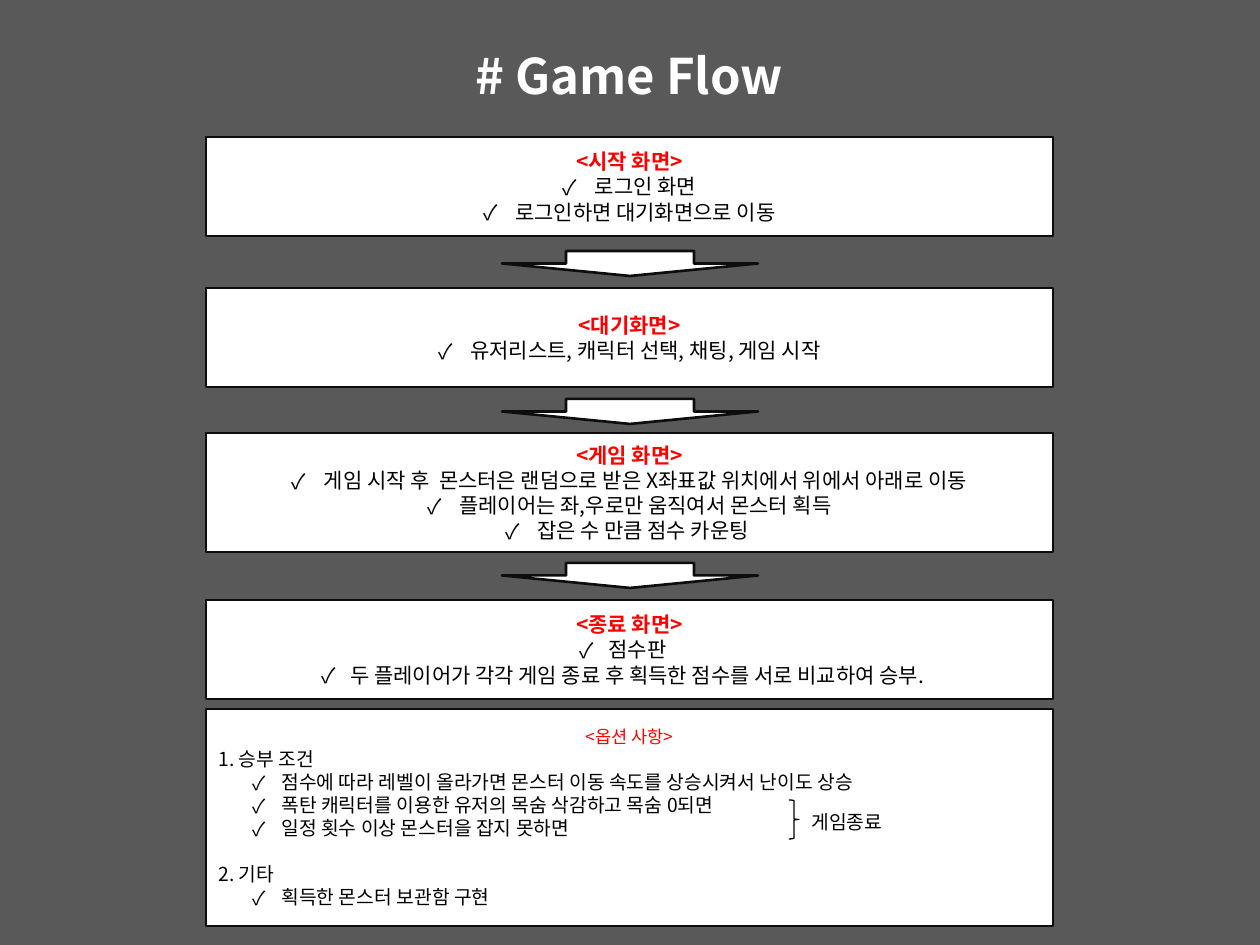
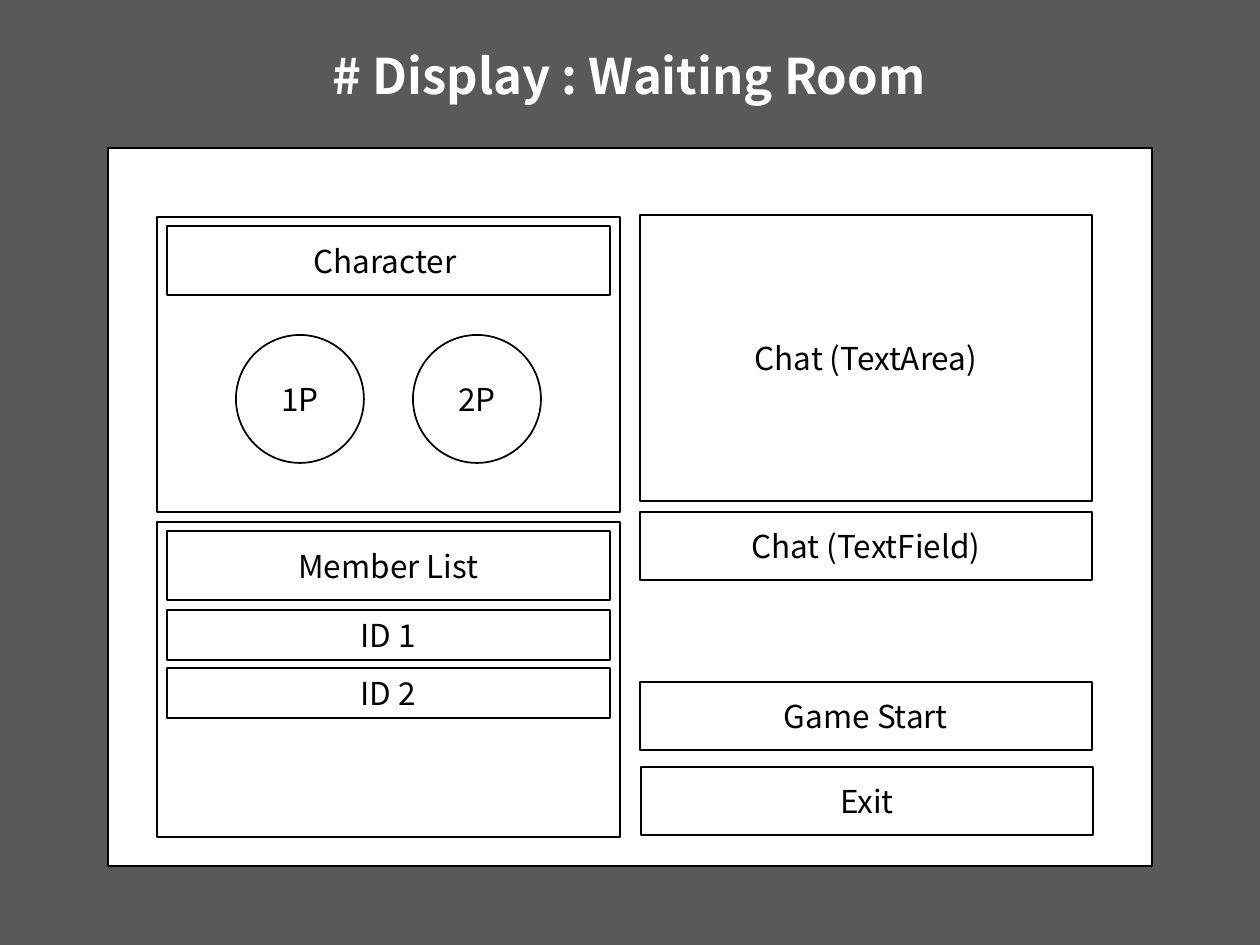
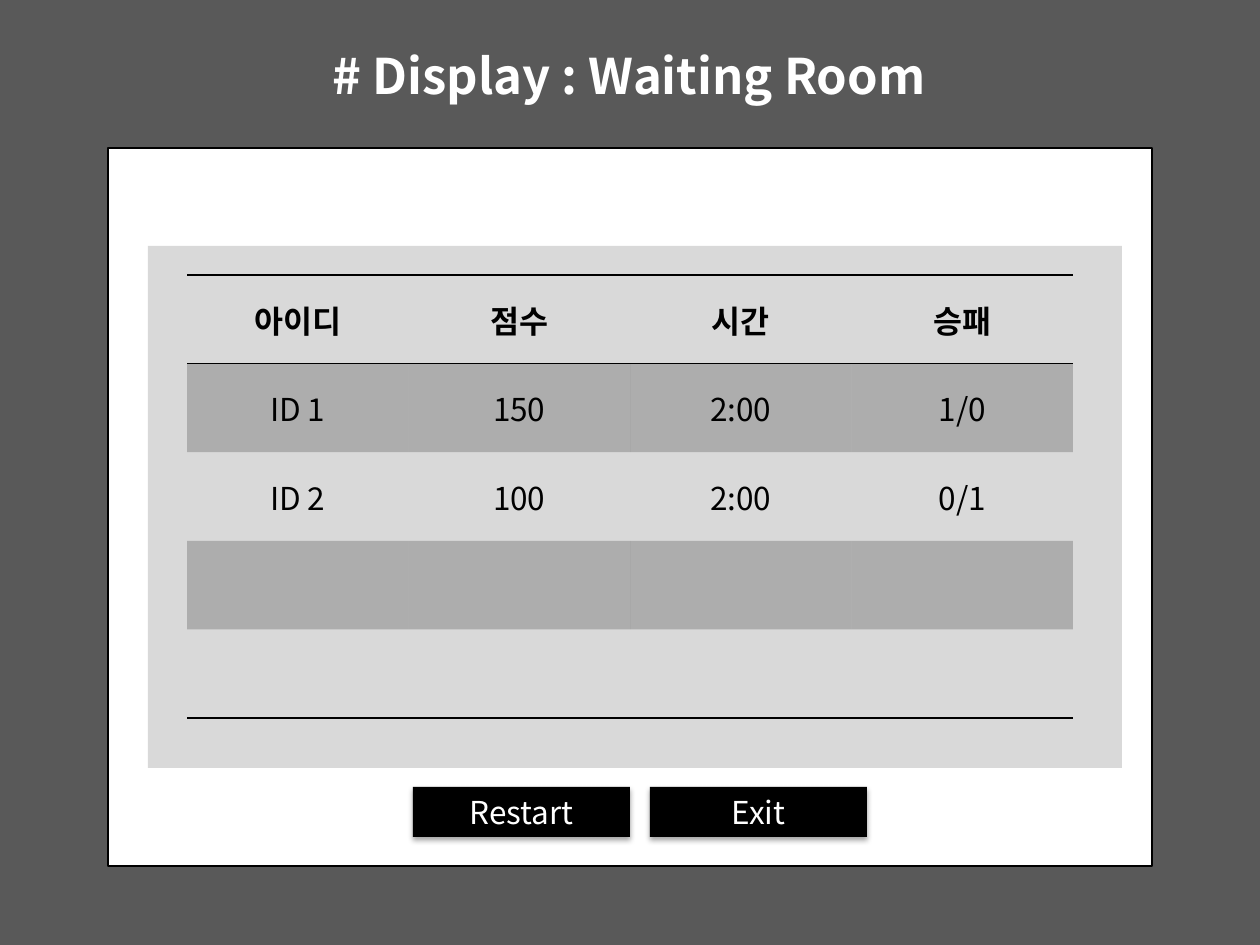
"""Build three slides on a catching game: its flow, its waiting room and its score board."""
from lxml.etree import SubElement
from pptx import Presentation
from pptx.dml.color import RGBColor
from pptx.enum.shapes import MSO_SHAPE as SHAPE
from pptx.enum.text import MSO_ANCHOR as ANCHOR, MSO_AUTO_SIZE as FIT, PP_ALIGN as ALIGN
from pptx.oxml import parse_xml
from pptx.oxml.ns import nsdecls, qn
from pptx.util import Emu, Pt

BLACK = RGBColor(0x00, 0x00, 0x00)
INK = RGBColor(0x0D, 0x0D, 0x0D)
WHITE = RGBColor(0xFF, 0xFF, 0xFF)
RED = RGBColor(0xFF, 0x00, 0x00)
GRAY = RGBColor(0x59, 0x59, 0x59)
SILVER = RGBColor(0xD9, 0xD9, 0xD9)
FONT = "Noto Sans CJK KR"
PLAIN_TABLE = "{2D5ABB26-0587-4C30-8999-92F81FD0307C}"
TITLE_ONLY = 5
CENTER_BULLET = (32, -32)
END_BULLET = (16, -29)
OPTION_BULLET = (63, -29)


def px(n):
    """Turn pixels, 126 to the inch, into EMU."""
    return Emu(round(n * 914400 / 126))


class Deck:
    """Hold the shared style and the current slide."""

    def __init__(self):
        """Start a deck with a grey master."""
        self.prs = Presentation()
        self.prs.slide_width, self.prs.slide_height = px(1260), px(945)
        fill = self.prs.slide_master.background.fill
        fill.solid()
        fill.fore_color.rgb = GRAY

    def slide(self, title):
        """Add a slide with the centred white title."""
        self.s = self.prs.slides.add_slide(self.prs.slide_layouts[TITLE_ONLY])
        sp = self.s.shapes.title
        sp.left, sp.top, sp.width, sp.height = map(px, (260, 39, 738, 72))
        self.frame(sp.text_frame)
        self.para(sp.text_frame, title, 28, WHITE, bold=True)

    def frame(self, tf, wrap=True):
        """Give a text frame the common settings."""
        tf.word_wrap, tf.auto_size = wrap, FIT.NONE
        tf.vertical_anchor = ANCHOR.MIDDLE

    def para(self, tf, text, size=18, color=BLACK, bold=False, align=ALIGN.CENTER,
             bullet=None, before=0):
        """Fill the first paragraph or add one after it."""
        p = tf.paragraphs[0]
        if p.runs:
            p = tf.add_paragraph()
        p.alignment = align
        p.space_before = Pt(before)
        if bullet:
            pPr = p._p.get_or_add_pPr()
            for key, n in zip(("marL", "indent"), bullet):
                pPr.set(key, str(px(n)))
            SubElement(pPr, qn("a:buFont"), typeface=FONT)
            SubElement(pPr, qn("a:buChar"), char="✓")
        r = p.add_run()
        r.text = text
        r.font.name, r.font.size, r.font.bold = FONT, Pt(size), bold
        r.font.color.rgb = color
        SubElement(r._r.get_or_add_rPr(), qn("a:ea"), typeface=FONT)

    def shape(self, kind, x, y, w, h, fill=None, line=None, width=1.25):
        """Add a preset shape without a shadow."""
        sp = self.s.shapes.add_shape(kind, *map(px, (x, y, w, h)))
        sp.shadow.inherit = False
        if fill is None:
            sp.fill.background()
        else:
            sp.fill.solid()
            sp.fill.fore_color.rgb = fill
        if line is None:
            sp.line.fill.background()
        else:
            sp.line.color.rgb, sp.line.width = line, Pt(width)
        self.frame(sp.text_frame)
        return sp

    def flow_box(self, y, h):
        """Add a white box of the flow and return its text frame."""
        return self.shape(SHAPE.RECTANGLE, 206, y, 847, h, WHITE, INK, 1.5).text_frame

    def step(self, y, h, heading, lines, bullet=CENTER_BULLET):
        """Add a flow box with a red heading and ticked lines."""
        tf = self.flow_box(y, h)
        self.para(tf, heading, 12, RED, bold=True)
        for line in lines:
            self.para(tf, line, 12, bullet=bullet)

    def options(self, heading, groups):
        """Add the box of numbered options."""
        tf = self.flow_box(709, 217)
        self.para(tf, heading, 10, RED)
        for i, (name, lines) in enumerate(groups):
            self.para(tf, name, 11, align=ALIGN.LEFT, before=13 * i)
            for line in lines:
                self.para(tf, line, 11, align=ALIGN.LEFT, bullet=OPTION_BULLET)

    def label(self, text, x, y, w, h):
        """Add a small unwrapped text box."""
        tf = self.s.shapes.add_textbox(*map(px, (x, y, w, h))).text_frame
        self.frame(tf, wrap=False)
        self.para(tf, text, 11, align=ALIGN.LEFT)

    def window(self):
        """Add the white screen of a mock-up."""
        self.shape(SHAPE.RECTANGLE, 108, 148, 1044, 718, WHITE, BLACK)

    def panel(self, x, y, w, h, text=None, kind=SHAPE.RECTANGLE, width=1.25):
        """Add an outlined part of a mock-up."""
        sp = self.shape(kind, x, y, w, h, line=BLACK, width=width)
        if text:
            self.para(sp.text_frame, text)

    def button(self, x, text):
        """Add a black button with a soft shadow."""
        sp = self.shape(SHAPE.RECTANGLE, x, 787, 217, 50, BLACK)
        shadow = parse_xml(
            f'<a:outerShdw {nsdecls("a")} blurRad="{Pt(3.1)}" dist="{Pt(1.8)}" dir="5400000" '
            'rotWithShape="0"><a:srgbClr val="000000"><a:alpha val="35000"/></a:srgbClr>'
            '</a:outerShdw>')
        sp._element.spPr.find(qn("a:effectLst")).append(shadow)
        self.para(sp.text_frame, text, color=WHITE)

    def table(self, x, y, w, h, rows):
        """Add a table with ruled head and foot and shaded odd rows."""
        sides = {0: ("lnT", "lnB"), len(rows) - 1: ("lnB",)}
        tbl = self.s.shapes.add_table(len(rows), len(rows[0]), *map(px, (x, y, w, h))).table
        tbl._tbl.tblPr.find(qn("a:tableStyleId")).text = PLAIN_TABLE
        tbl.horz_banding = False
        for i, row in enumerate(rows):
            for j, text in enumerate(row):
                cell = tbl.cell(i, j)
                cell.vertical_anchor = ANCHOR.MIDDLE
                self.rule(cell, sides.get(i, ()))
                if i % 2:
                    self.shade(cell)
                else:
                    cell.fill.background()
                if text:
                    self.para(cell.text_frame, text, bold=i == 0)

    def rule(self, cell, sides):
        """Draw black lines on the given sides of a cell."""
        for side in sides:
            ln = SubElement(cell._tc.get_or_add_tcPr(), qn("a:" + side), w=str(Pt(1)))
            fill = SubElement(ln, qn("a:solidFill"))
            SubElement(fill, qn("a:srgbClr"), val=str(BLACK))

    def shade(self, cell):
        """Fill a cell with black at 20 percent."""
        cell.fill.solid()
        cell.fill.fore_color.rgb = BLACK
        color = cell._tc.tcPr.find(qn("a:solidFill")).find(qn("a:srgbClr"))
        SubElement(color, qn("a:alpha"), val="20000")


def game_flow(d):
    """Build the flow of screens."""
    d.slide("# Game Flow")
    d.step(137, 99, "<시작 화면>", ["로그인 화면", "로그인하면 대기화면으로 이동"])
    d.step(288, 99, "<대기화면>", ["유저리스트, 캐릭터 선택, 채팅, 게임 시작"])
    d.step(433, 119, "<게임 화면>", [
        "게임 시작 후  몬스터은 랜덤으로 받은 X좌표값 위치에서 위에서 아래로 이동",
        "플레이어는 좌,우로만 움직여서 몬스터 획득",
        "잡은 수 만큼 점수 카운팅 "])
    d.step(600, 99, "<종료 화면>", [
        "점수판", "두 플레이어가 각각 게임 종료 후 획득한 점수를 서로 비교하여 승부."], END_BULLET)
    for y in (251, 399, 563):
        d.shape(SHAPE.DOWN_ARROW, 502, y, 256, 25, WHITE, INK, 1.5)
    d.options("<옵션 사항>", [
        ("1. 승부 조건", ["점수에 따라 레벨이 올라가면 몬스터 이동 속도를 상승시켜서 난이도 상승",
                      "폭탄 캐릭터를 이용한 유저의 목숨 삭감하고 목숨 0되면",
                      "일정 횟수 이상 몬스터을 잡지 못하면"]),
        ("2. 기타", ["획득한 몬스터 보관함 구현"])])
    d.shape(SHAPE.RIGHT_BRACE, 789, 800, 10, 39, line=BLACK, width=0.75)
    d.label("게임종료", 799, 804, 103, 36)


def waiting_room(d):
    """Build the waiting room mock-up."""
    d.slide("# Display : Waiting Room")
    d.window()
    d.panel(157, 217, 463, 295)
    d.panel(167, 226, 443, 69, "Character ")
    for x, player in ((236, "1P"), (413, "2P")):
        d.panel(x, 335, 128, 128, player, SHAPE.OVAL, 1)
    d.panel(157, 522, 463, 315)
    d.panel(167, 531, 443, 69, "Member List")
    for i, member in enumerate(("ID 1", "ID 2")):
        d.panel(167, 610 + 58 * i, 443, 50, member)
    d.panel(640, 215, 452, 286, "Chat (TextArea)")
    for x, y, text in ((640, 512, "Chat (TextField)"), (640, 682, "Game Start"),
                       (641, 767, "Exit")):
        d.panel(x, y, 452, 68, text)


def score_board(d):
    """Build the score board mock-up."""
    d.slide("# Display : Waiting Room")
    d.window()
    d.shape(SHAPE.RECTANGLE, 148, 246, 974, 522, SILVER)
    d.table(187, 275, 886, 443, [
        ["아이디", "점수", "시간", "승패"],
        ["ID 1", "150", "2:00", "1/0"],
        ["ID 2", "100", "2:00", "0/1"],
        [""] * 4,
        [""] * 4])
    d.button(650, "Exit")
    d.button(413, "Restart")


def main():
    """Build and save the deck."""
    d = Deck()
    game_flow(d)
    waiting_room(d)
    score_board(d)
    d.prs.save("out.pptx")


if __name__ == "__main__":
    main()
